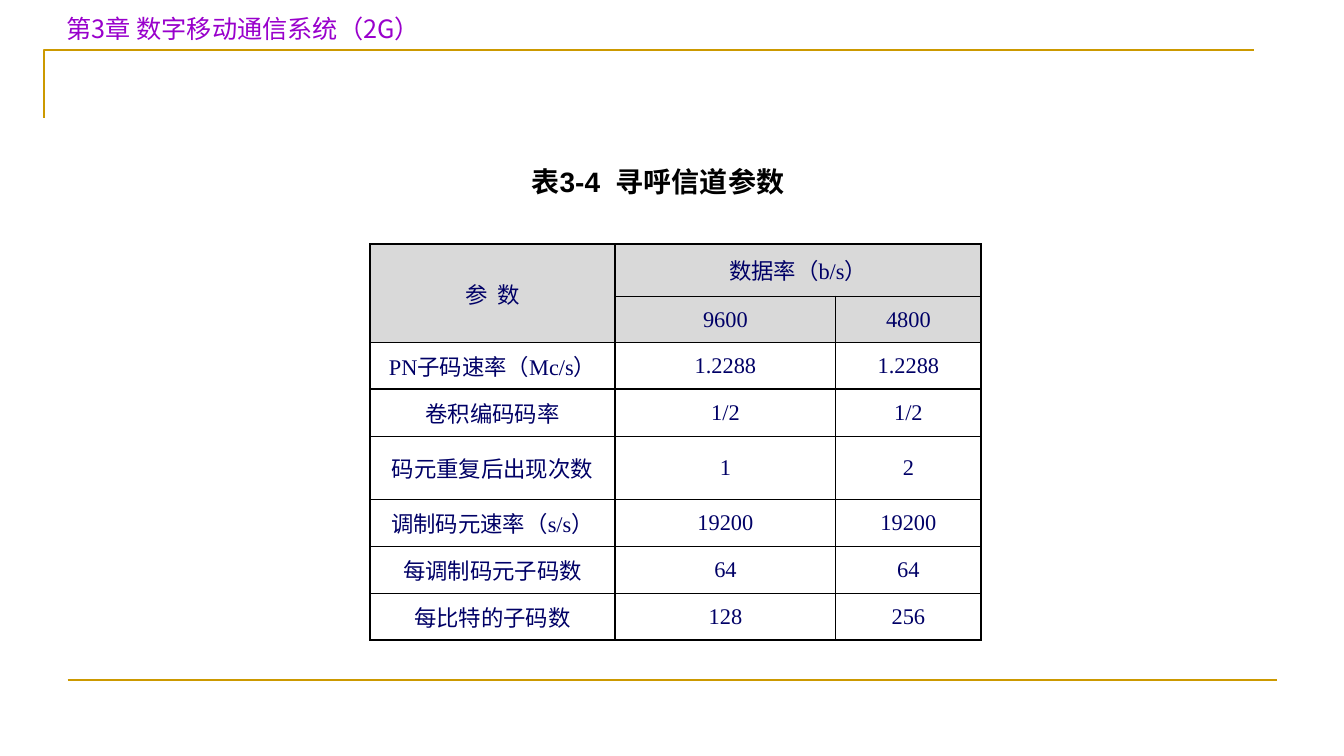
import pptx
import pptx.dml.color
import pptx.enum.shapes
import pptx.enum.text
import pptx.oxml
import pptx.oxml.ns
import pptx.util
from pptx.util import Inches

RGBColor = pptx.dml.color.RGBColor
GOLD = RGBColor(0xCC, 0x99, 0x00)
PURPLE = RGBColor(0x99, 0x00, 0xCC)
BLACK = RGBColor(0x00, 0x00, 0x00)
NAVY = RGBColor(0x00, 0x00, 0x66)
GREY = RGBColor(0xD9, 0xD9, 0xD9)

COLUMN_WIDTHS = (2.43, 2.19, 1.44)
ROW_HEIGHTS = (0.52, 0.46, 0.46, 0.47, 0.63, 0.46, 0.47, 0.46)
HEADER_ROWS = 2
PARAMETERS = (
    ("参  数", "数据率（b/s）", ""),
    ("", "9600", "4800"),
    ("PN子码速率（Mc/s）", "1.2288", "1.2288"),
    ("卷积编码码率", "1/2", "1/2"),
    ("码元重复后出现次数", "1", "2"),
    ("调制码元速率（s/s）", "19200", "19200"),
    ("每调制码元子码数", "64", "64"),
    ("每比特的子码数", "128", "256"),
)


def style_text(paragraph, font_name, size, color, bold=False, centered=False):
    paragraph.font.name = font_name
    paragraph.font.size = pptx.util.Pt(size)
    paragraph.font.color.rgb = color
    paragraph.font.bold = bold
    if centered:
        paragraph.alignment = pptx.enum.text.PP_ALIGN.CENTER


def style_line(line):
    line.color.rgb = GOLD
    line.width = pptx.util.Pt(1.5)


def add_corner_rule(slide):
    builder = slide.shapes.build_freeform(Inches(0.44), Inches(1.17))
    builder.add_line_segments(
        [(Inches(0.44), Inches(0.5)), (Inches(12.44), Inches(0.5))], close=False)
    corner = builder.convert_to_shape()
    corner.fill.background()
    corner.shadow.inherit = False
    style_line(corner.line)


def add_footer_rule(slide):
    rule = slide.shapes.add_connector(
        pptx.enum.shapes.MSO_CONNECTOR.STRAIGHT,
        Inches(0.67), Inches(6.75), Inches(12.67), Inches(6.75))
    style_line(rule.line)
    rule._element.spPr.append(pptx.oxml.parse_xml(
        f'<a:effectLst {pptx.oxml.ns.nsdecls("a")}/>'))


def add_label(slide, text, left, top, width, height, anchor, **style):
    frame = slide.shapes.add_textbox(
        Inches(left), Inches(top), Inches(width), Inches(height)).text_frame
    frame.word_wrap = True
    frame.vertical_anchor = anchor
    frame.text = text
    style_text(frame.paragraphs[0], **style)


def add_borders(cell):
    properties = cell._tc.get_or_add_tcPr()
    for position, side in enumerate(("lnL", "lnR", "lnT", "lnB")):
        properties.insert(position, pptx.oxml.parse_xml(
            f'<a:{side} {pptx.oxml.ns.nsdecls("a")} w="12700">'
            f'<a:solidFill><a:srgbClr val="{BLACK}"/></a:solidFill></a:{side}>'))


def add_parameter_table(slide):
    table = slide.shapes.add_table(
        len(ROW_HEIGHTS), len(COLUMN_WIDTHS), Inches(3.67), Inches(2.42),
        Inches(sum(COLUMN_WIDTHS)), Inches(sum(ROW_HEIGHTS))).table
    table.first_row = False
    table.horz_banding = False
    for column, width in zip(table.columns, COLUMN_WIDTHS):
        column.width = Inches(width)
    for row, height in zip(table.rows, ROW_HEIGHTS):
        row.height = Inches(height)

    for row_index, values in enumerate(PARAMETERS):
        for column_index, value in enumerate(values):
            cell = table.cell(row_index, column_index)
            cell.text = value
            cell.vertical_anchor = pptx.enum.text.MSO_ANCHOR.MIDDLE
            style_text(cell.text_frame.paragraphs[0], "Times New Roman", 16,
                       NAVY, centered=True)
            if row_index < HEADER_ROWS:
                cell.fill.solid()
                cell.fill.fore_color.rgb = GREY
            else:
                cell.fill.background()
            add_borders(cell)

    # Headings that span two rows or two columns
    table.cell(0, 0).merge(table.cell(1, 0))
    table.cell(0, 1).merge(table.cell(0, 2))


def main():
    presentation = pptx.Presentation()
    presentation.slide_width = Inches(13.33)
    presentation.slide_height = Inches(7.5)
    slide = presentation.slides.add_slide(presentation.slide_layouts[6])

    # Chapter frame
    add_corner_rule(slide)
    add_footer_rule(slide)
    add_label(slide, "第3章 数字移动通信系统（2G）", 0.56, 0.08, 5.78, 0.4,
              pptx.enum.text.MSO_ANCHOR.TOP,
              font_name="Noto Sans CJK JP", size=18, color=PURPLE)

    # Caption and table
    add_label(slide, "表3-4  寻呼信道参数", 5.17, 1.58, 2.71, 0.44,
              pptx.enum.text.MSO_ANCHOR.MIDDLE,
              font_name="Arial", size=20, color=BLACK, bold=True, centered=True)
    add_parameter_table(slide)

    presentation.save("out.pptx")


if __name__ == "__main__":
    main()
